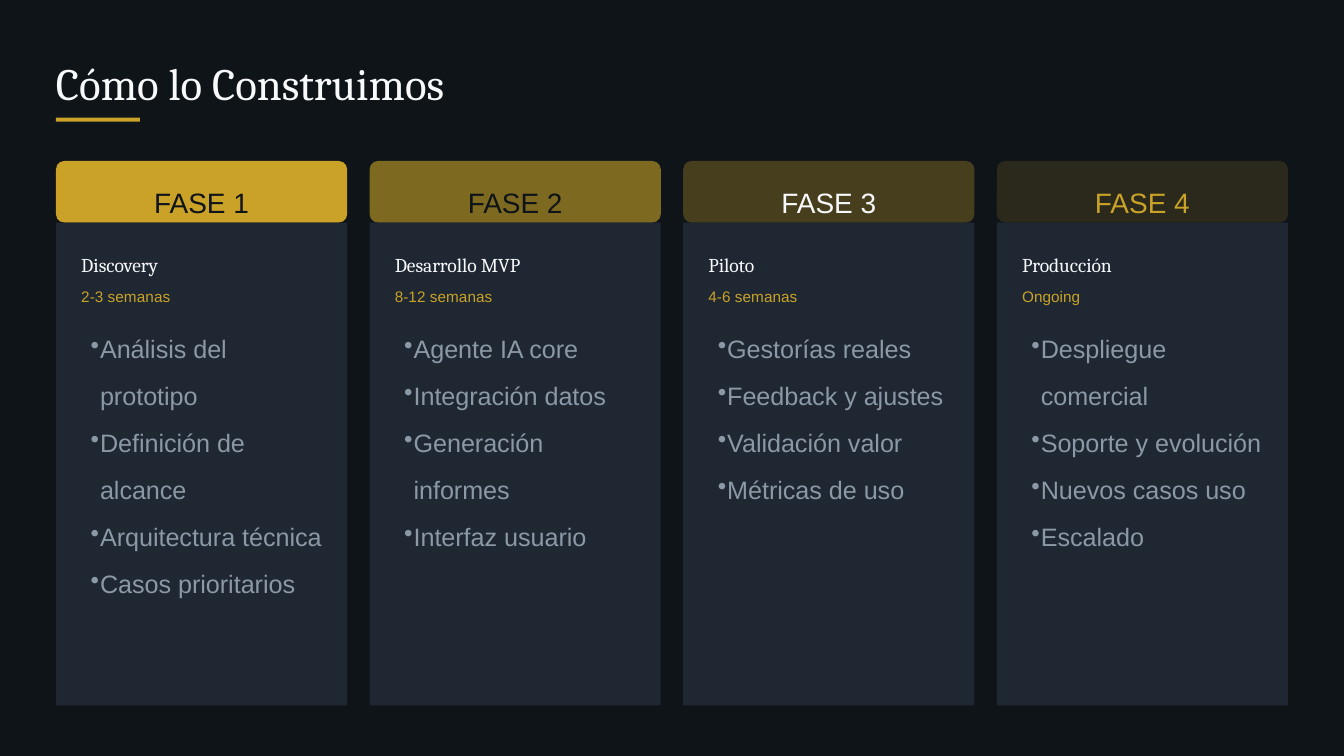
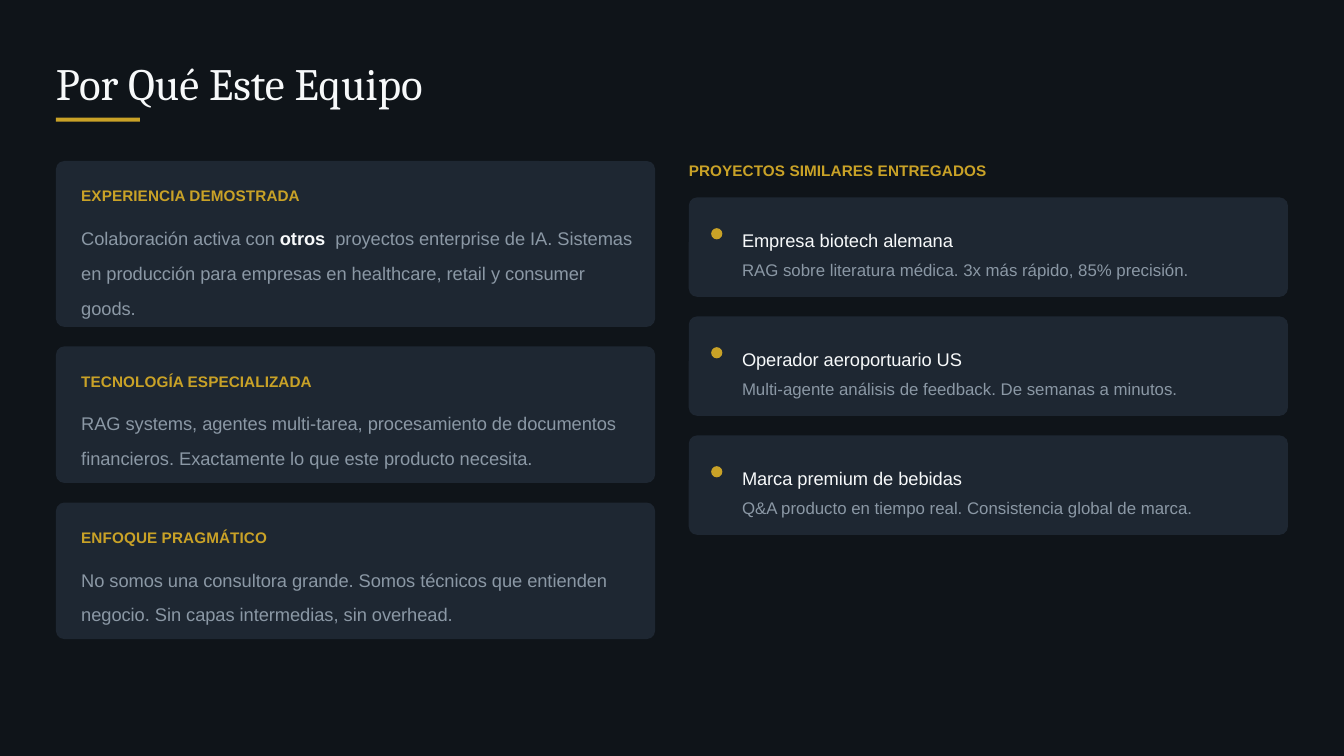
from lxml.etree import SubElement
from pptx import Presentation
from pptx.dml.color import RGBColor
from pptx.enum.shapes import MSO_SHAPE as SHAPE
from pptx.enum.text import MSO_ANCHOR as ANCHOR, MSO_AUTO_SIZE as AUTOSIZE, PP_ALIGN as ALIGN
from pptx.oxml.ns import qn
from pptx.util import Inches, Pt

COLORS = {
    "bg": "0F1419",
    "card": "1E2732",
    "gold": "C9A227",
    "white": "F7F9FA",
    "gray": "8B98A5",
}
SERIF, SANS = "Cambria", "Arial"
COLS, ROWS = 480, 270
LEFT, TOP = 20, 57.5
PAD = 9
RADIUS = 3
TITLE_ONLY = 5

# name, header opacity in %, header text colour, stage, duration, tasks
PHASES = [
    ("FASE 1", 100, "bg", "Discovery", "2-3 semanas",
     ["Análisis del prototipo", "Definición de alcance",
      "Arquitectura técnica", "Casos prioritarios"]),
    ("FASE 2", 60, "bg", "Desarrollo MVP", "8-12 semanas",
     ["Agente IA core", "Integración datos", "Generación informes", "Interfaz usuario"]),
    ("FASE 3", 30, "white", "Piloto", "4-6 semanas",
     ["Gestorías reales", "Feedback y ajustes", "Validación valor", "Métricas de uso"]),
    ("FASE 4", 15, "gold", "Producción", "Ongoing",
     ["Despliegue comercial", "Soporte y evolución", "Nuevos casos uso", "Escalado"]),
]

# heading, card height, text runs (every second run is highlighted)
STRENGTHS = [
    ("EXPERIENCIA DEMOSTRADA", 59.25,
     ["Colaboración activa con ", "otros ",
      " proyectos enterprise de IA. Sistemas en producción para empresas "
      "en healthcare, retail y consumer goods."]),
    ("TECNOLOGÍA ESPECIALIZADA", 48.75,
     ["RAG systems, agentes multi-tarea, procesamiento de documentos "
      "financieros. Exactamente lo que este producto necesita."]),
    ("ENFOQUE PRAGMÁTICO", 48.75,
     ["No somos una consultora grande. Somos técnicos que entienden "
      "negocio. Sin capas intermedias, sin overhead."]),
]

PROJECTS = [
    ("Empresa biotech alemana",
     "RAG sobre literatura médica. 3x más rápido, 85% precisión."),
    ("Operador aeroportuario US",
     "Multi-agente análisis de feedback. De semanas a minutos."),
    ("Marca premium de bebidas",
     "Q&A producto en tiempo real. Consistencia global de marca."),
]


class Deck:
    """Holds the style and the current slide; boxes are (col, row, cols, rows)."""

    def __init__(self):
        self.prs = Presentation()
        self.prs.slide_width = Inches(10)
        self.prs.slide_height = self.prs.slide_width * 9 // 16
        self.slide = None

    def color(self, name):
        return RGBColor.from_string(COLORS[name])

    def place(self, box):
        x, y, w, h = box
        dx, dy = self.prs.slide_width / COLS, self.prs.slide_height / ROWS
        return round(x * dx), round(y * dy), round(w * dx), round(h * dy)

    def new_slide(self, title):
        self.slide = self.prs.slides.add_slide(self.prs.slide_layouts[TITLE_ONLY])
        fill = self.slide.background.fill
        fill.solid()
        fill.fore_color.rgb = self.color("bg")
        sp = self.slide.shapes.title
        sp.left, sp.top, sp.width, sp.height = self.place((LEFT, 20, 225, 16))
        self.set_text(sp, [title], 24, "white", SERIF)
        self.shape((LEFT, 42, 30, 1.5), "gold")

    def shape(self, box, color, rounded=False, opacity=100):
        kind = SHAPE.ROUNDED_RECTANGLE if rounded else SHAPE.RECTANGLE
        sp = self.slide.shapes.add_shape(kind, *self.place(box))
        sp.shadow.inherit = False
        sp.line.fill.background()
        sp.fill.solid()
        sp.fill.fore_color.rgb = self.color(color)
        if rounded:
            sp.adjustments[0] = min(0.5, RADIUS / min(box[2:]))
        if opacity < 100:
            clr = sp._element.spPr.find(".//" + qn("a:srgbClr"))
            SubElement(clr, qn("a:alpha"), val=str(opacity * 1000))

    def set_text(self, sp, lines, size, color, font=SANS, bold=False, spacing=None,
                 align=ALIGN.LEFT):
        tf = sp.text_frame
        tf.word_wrap = True
        tf.auto_size = AUTOSIZE.NONE
        tf.vertical_anchor = ANCHOR.TOP
        tf.margin_left = tf.margin_top = tf.margin_right = tf.margin_bottom = 0
        tf.text = "\n".join(lines)
        for p in tf.paragraphs:
            p.alignment = align
            if spacing:
                p.line_spacing = spacing
            for r in p.runs:
                self.format_run(r, size, color, font, bold)
        return tf

    def format_run(self, r, size, color, font=SANS, bold=False):
        r.font.name, r.font.size, r.font.bold = font, Pt(size), bold
        r.font.color.rgb = self.color(color)

    def text(self, box, lines, *style, **options):
        sp = self.slide.shapes.add_textbox(*self.place(box))
        return self.set_text(sp, lines, *style, **options)

    def label(self, box, text):
        self.text(box, [text], 8.25, "gold", bold=True)

    def rich_text(self, box, parts, size):
        p = self.text(box, [""], size, "gray", spacing=1.6).paragraphs[0]
        for i, part in enumerate(parts):
            r = p.add_run()
            r.text = part
            strong = i % 2 == 1
            self.format_run(r, size, "white" if strong else "gray", bold=strong)

    def bullets(self, box, items, size):
        tf = self.text(box, items, size, "gray", spacing=1.56)
        tf.margin_left = Inches(0.07)
        for p in tf.paragraphs:
            pPr = p._p.get_or_add_pPr()
            pPr.set("marL", str(Inches(0.07)))
            pPr.set("indent", str(-Inches(0.09)))
            clr = SubElement(pPr, qn("a:buClr"))
            SubElement(clr, qn("a:srgbClr"), val=COLORS["gray"])
            SubElement(pPr, qn("a:buChar"), char="•")


def build_phases(deck):
    deck.new_slide("Cómo lo Construimos")
    width, pitch, head = 104, 112, 22
    for i, (name, opacity, color, stage, duration, tasks) in enumerate(PHASES):
        x = LEFT + i * pitch
        inner = x + PAD
        deck.shape((x, TOP, width, head), "gold", rounded=True, opacity=opacity)
        deck.text((x - 1, TOP + 4, width + 2, 14), [name], 15, color,
                  spacing=1.4, align=ALIGN.CENTER)
        deck.shape((x, TOP + head, width, 172.5), "card")
        deck.text((inner, 88.5, 88, 8), [stage], 10.5, "white", SERIF, spacing=1.2)
        deck.text((inner, 100, 88, 8), [duration], 8.25, "gold", spacing=1.4)
        deck.bullets((inner, 113, 86, 130.5), tasks, 13.5)


def build_team(deck):
    deck.new_slide("Por Qué Este Equipo")
    width = 214
    y = TOP
    for heading, height, parts in STRENGTHS:
        deck.shape((LEFT, y, width, height), "card", rounded=True)
        deck.label((LEFT + PAD, y + PAD, 200, 6), heading)
        deck.rich_text((LEFT + PAD, y + 19, 200, height - 28), parts, 9.75)
        y += height + 7

    x = 246
    deck.label((x, TOP, 218, 6), "PROYECTOS SIMILARES ENTREGADOS")
    for i, (client, result) in enumerate(PROJECTS):
        y = 70.5 + i * 42.5
        deck.shape((x, y, width, 35.5), "card", rounded=True)
        deck.shape((x + 8, y + 11, 4, 4), "gold", rounded=True)
        deck.text((x + 19, y + 8.25, 163, 9), [client], 9.75, "white", spacing=1.4)
        deck.text((x + 19, y + 19.25, 163, 8), [result], 9, "gray", spacing=1.4)


def main():
    deck = Deck()
    build_phases(deck)
    build_team(deck)
    deck.prs.save("out.pptx")


if __name__ == "__main__":
    main()
